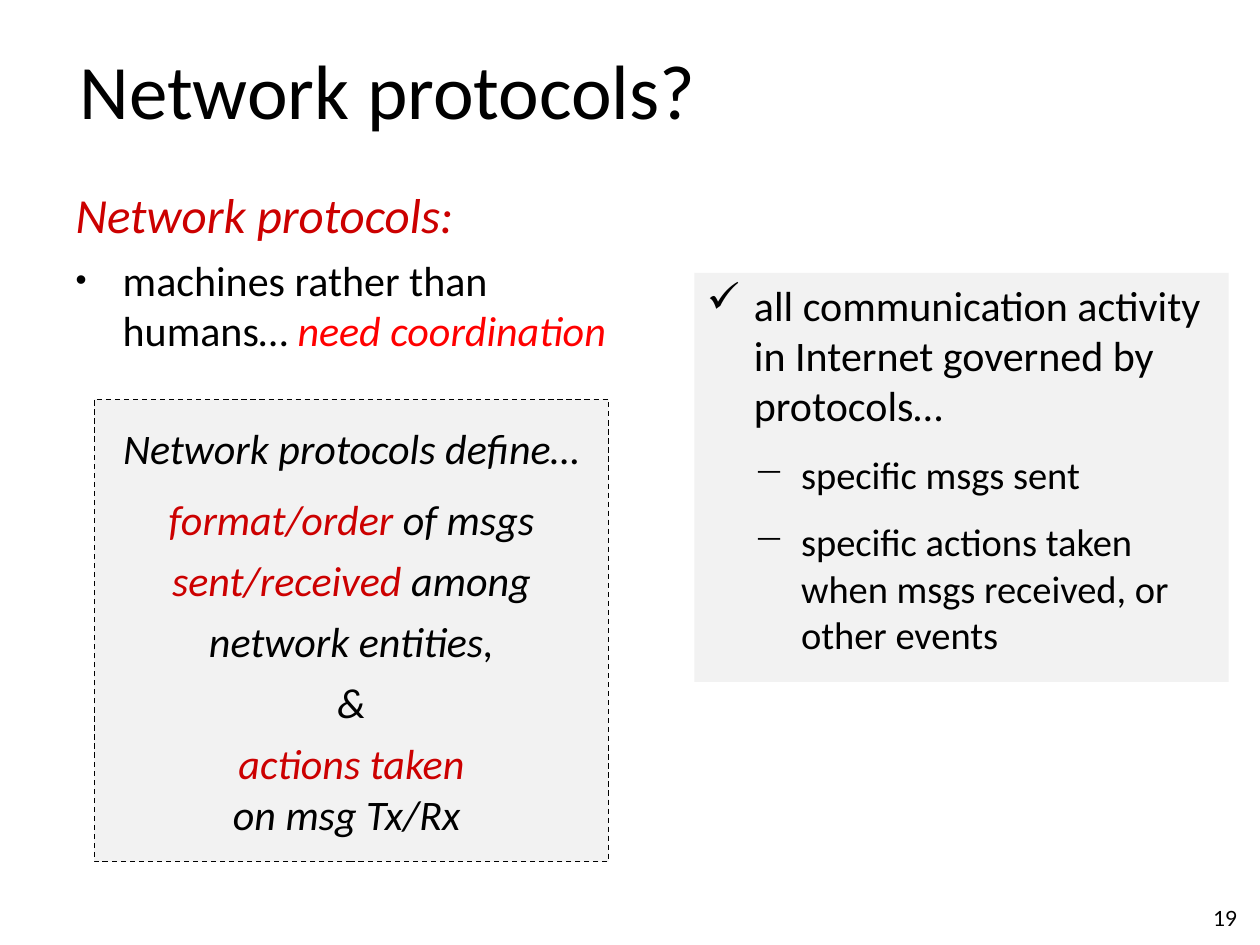
from lxml.etree import SubElement
from pptx import Presentation
from pptx.dml.color import RGBColor
from pptx.enum.dml import MSO_LINE
from pptx.enum.shapes import MSO_SHAPE
from pptx.enum.text import MSO_ANCHOR as Anchor, MSO_AUTO_SIZE as AutoSize, PP_ALIGN as Align
from pptx.oxml.ns import qn
from pptx.util import Cm, Pt

COLORS = {"text": "000000", "term": "CC0000", "alert": "FF0000", "panel": "F2F2F2"}
HANG = 0.95


def color(name):
    return RGBColor.from_string(COLORS[name])


def place(shape, box):
    shape.left, shape.top, shape.width, shape.height = (Cm(length) for length in box)


def prepare_frame(shape, anchor):
    frame = shape.text_frame
    frame.word_wrap = True
    frame.auto_size = AutoSize.NONE
    frame.vertical_anchor = anchor
    return frame


def set_bullet(para, char, level=0, percent=100):
    """Hang the paragraph behind a bullet, or behind nothing if char is None."""
    para.level = level
    props = para._p.get_or_add_pPr()
    props.set("marL", str(Cm(HANG * (level + 1))))
    props.set("indent", str(-Cm(HANG)))
    if char is None:
        SubElement(props, qn("a:buNone"))
        return
    tint = SubElement(props, qn("a:buClr"))
    SubElement(tint, qn("a:srgbClr"), val=COLORS["text"])
    SubElement(props, qn("a:buSzPct"), val=str(percent * 1000))
    SubElement(props, qn("a:buChar"), char=char)


def format_para(para, size, before=0, align=Align.LEFT, font="Calibri"):
    para.alignment = align
    para.space_before = Pt(before)
    para.font.size = Pt(size)
    para.font.name = font


def add_spans(para, *spans, italic=False):
    """Add (text, colour name) spans; a newline in a text is a line break."""
    for text, tone in spans:
        for number, line in enumerate(text.split("\n")):
            if number:
                para.add_line_break()
            if line:
                span = para.add_run()
                span.text = line
                span.font.color.rgb = color(tone)
                span.font.italic = italic


def next_para(frame, index):
    return frame.add_paragraph() if index else frame.paragraphs[0]


def add_panel(page, box, anchor):
    panel = page.shapes.add_shape(MSO_SHAPE.RECTANGLE, *(Cm(length) for length in box))
    panel.shadow.inherit = False
    panel.fill.solid()
    panel.fill.fore_color.rgb = color("panel")
    panel.line.fill.background()
    return panel, prepare_frame(panel, anchor)


def fill_title(page, box):
    title = page.shapes.title
    place(title, box)
    para = prepare_frame(title, Anchor.MIDDLE).paragraphs[0]
    format_para(para, 44)
    add_spans(para, ("Network protocols?", "text"))


def fill_body(page, box):
    body = page.placeholders[1]
    place(body, box)
    frame = prepare_frame(body, Anchor.TOP)

    heading = frame.paragraphs[0]
    set_bullet(heading, None)
    format_para(heading, 28, before=7)
    add_spans(heading, ("Network protocols:", "term"), italic=True)

    point = frame.add_paragraph()
    set_bullet(point, "•", percent=75)
    format_para(point, 24, before=6)
    add_spans(point, ("machines rather than humans… ", "text"))
    add_spans(point, ("need coordination", "alert"), italic=True)


def add_definition(page, box):
    panel, frame = add_panel(page, box, Anchor.MIDDLE)
    panel.line.color.rgb = color("text")
    panel.line.width = Pt(0.75)
    panel.line.dash_style = MSO_LINE.DASH
    lines = [
        (6, [("Network protocols define…", "text")]),
        (12, [("format/order", "term"), (" of msgs", "text")]),
        (6, [("sent/received ", "term"), ("among", "text")]),
        (6, [("network entities,", "text")]),
        (6, [("&", "text")]),
        (6, [("actions taken\n", "term"), ("on msg Tx/Rx ", "text")]),
    ]
    for index, (before, spans) in enumerate(lines):
        para = next_para(frame, index)
        format_para(para, 24, before, Align.CENTER)
        add_spans(para, *spans, italic=True)


def add_activity(page, box):
    _, frame = add_panel(page, box, Anchor.TOP)
    points = [
        (0, "all communication activity in Internet governed by protocols…"),
        (1, "specific msgs sent"),
        (1, "specific actions taken \nwhen msgs received, or other events"),
    ]
    for index, (level, text) in enumerate(points):
        para = next_para(frame, index)
        set_bullet(para, "✓−"[level], level)
        format_para(para, (24, 22)[level], before=12)
        add_spans(para, (text, "text"))


def add_page_number(page, box):
    number = page.shapes.add_textbox(*(Cm(length) for length in box))
    para = prepare_frame(number, Anchor.MIDDLE).paragraphs[0]
    format_para(para, 12, align=Align.RIGHT, font="Lato")
    add_spans(para, ("19", "text"))


def main():
    deck = Presentation()
    deck.slide_width, deck.slide_height = Cm(25.4), Cm(19.05)
    page = deck.slides.add_slide(deck.slide_layouts[1])
    fill_title(page, (1.35, 0.58, 15.72, 2.41))
    fill_body(page, (1.27, 3.6, 11.63, 3.81))
    add_definition(page, (1.9, 8.05, 10.37, 9.32))
    add_page_number(page, (23.93, 17.98, 1.27, 1.07))
    add_activity(page, (14, 5.5, 10.77, 8.25))
    deck.save("out.pptx")


if __name__ == "__main__":
    main()
